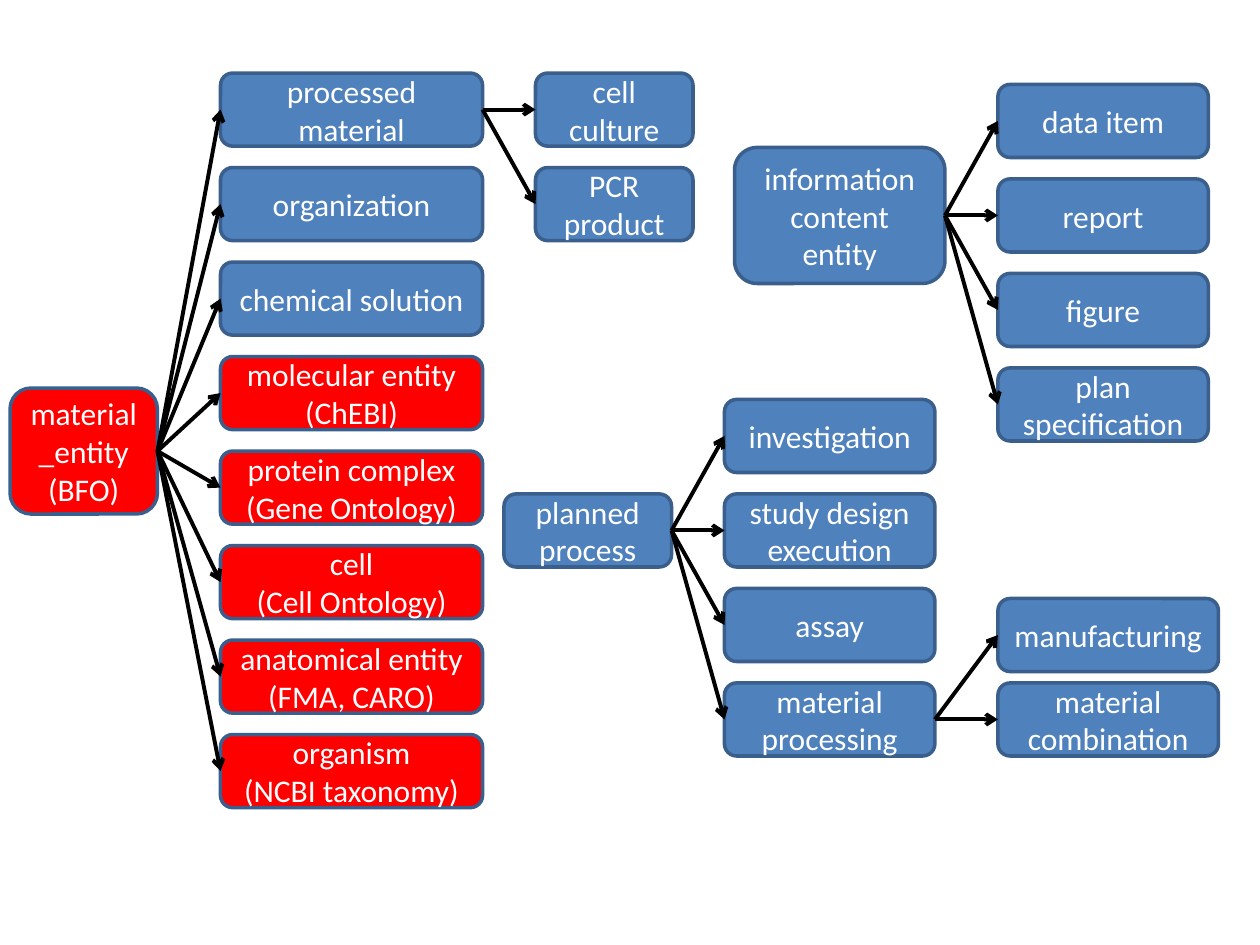
from lxml.etree import SubElement
from pptx import Presentation
from pptx.dml.color import RGBColor
from pptx.enum.shapes import MSO_CONNECTOR, MSO_SHAPE
from pptx.enum.text import MSO_ANCHOR, PP_ALIGN
from pptx.oxml.ns import qn
from pptx.util import Inches, Pt

BLUE, RED, OUTLINE, WHITE, BLACK = "4F81BD", "FF0000", "3A5F8C", "FFFFFF", "000000"
BOX_HEIGHT = 0.58
ROW_STEP = 0.75
LEFT_SITE, RIGHT_SITE = 1, 3

MATERIALS = [
    ("processed material", BLUE),
    ("organization", BLUE),
    ("chemical solution", BLUE),
    ("molecular entity (ChEBI)", RED),
    ("protein complex\v(Gene Ontology)", RED),
    ("cell\v(Cell Ontology)", RED),
    ("anatomical entity (FMA, CARO)", RED),
    ("organism\v(NCBI taxonomy)", RED),
]


def blue(*names):
    """Pair each name with the blue fill."""
    return [(name, BLUE) for name in names]


def paint(color_format, color):
    """Set a fill or font colour from a hex string."""
    color_format.rgb = RGBColor.from_string(color)


def add_box(slide, text, color, left, top, width, height=BOX_HEIGHT):
    """Add a rounded box with centred white text."""
    box = slide.shapes.add_shape(MSO_SHAPE.ROUNDED_RECTANGLE, Inches(left), Inches(top),
                                 Inches(width), Inches(height))
    box.shadow.inherit = False
    box.fill.solid()
    paint(box.fill.fore_color, color)
    paint(box.line.color, OUTLINE)
    box.line.width = Pt(2)
    frame = box.text_frame
    frame.word_wrap = True
    frame.vertical_anchor = MSO_ANCHOR.MIDDLE
    paragraph = frame.paragraphs[0]
    paragraph.text = text
    paragraph.alignment = PP_ALIGN.CENTER
    paragraph.font.name = "Calibri"
    paragraph.font.size = Pt(18)
    paint(paragraph.font.color, WHITE)
    return box


def add_arrow(slide, parent, child):
    """Join the right side of parent to the left side of child."""
    arrow = slide.shapes.add_connector(MSO_CONNECTOR.STRAIGHT, 0, 0, 0, 0)
    arrow.begin_connect(parent, RIGHT_SITE)
    arrow.end_connect(child, LEFT_SITE)
    paint(arrow.line.color, BLACK)
    arrow.line.width = Pt(2.25)
    SubElement(arrow.line._get_or_add_ln(), qn("a:tailEnd"), type="arrow")
    SubElement(arrow._element.spPr, qn("a:effectLst"))


def add_children(slide, parent, items, left, top, width, step=ROW_STEP):
    """Stack child boxes in a column, with an arrow from parent to each."""
    children = [add_box(slide, text, color, left, top + row * step, width)
                for row, (text, color) in enumerate(items)]
    for child in children:
        add_arrow(slide, parent, child)
    return children


def main():
    """Build the slide with its three class trees."""
    presentation = Presentation()
    presentation.slide_width, presentation.slide_height = Inches(10), Inches(7.5)
    slide = presentation.slides.add_slide(presentation.slide_layouts[6])

    material_entity = add_box(slide, "material_entity (BFO)", RED, 0.08, 3.08, 1.17, 1)
    materials = add_children(slide, material_entity, MATERIALS, 1.75, 0.58, 2.08)
    add_children(slide, materials[0], blue("cell culture", "PCR product"), 4.25, 0.58, 1.25)

    planned_process = add_box(slide, "planned process", BLUE, 4, 3.92, 1.33)
    processes = add_children(
        slide, planned_process,
        blue("investigation", "study design execution", "assay", "material processing"),
        5.75, 3.17, 1.67)
    add_children(slide, processes[-1], blue("manufacturing", "material combination"),
                 7.92, 4.75, 1.75, step=0.67)

    information = add_box(slide, "information content entity", BLUE, 5.83, 1.17, 1.67, 1.08)
    add_children(slide, information,
                 blue("data item", "report", "figure", "plan specification"),
                 7.92, 0.67, 1.67)

    presentation.save("out.pptx")


main()
